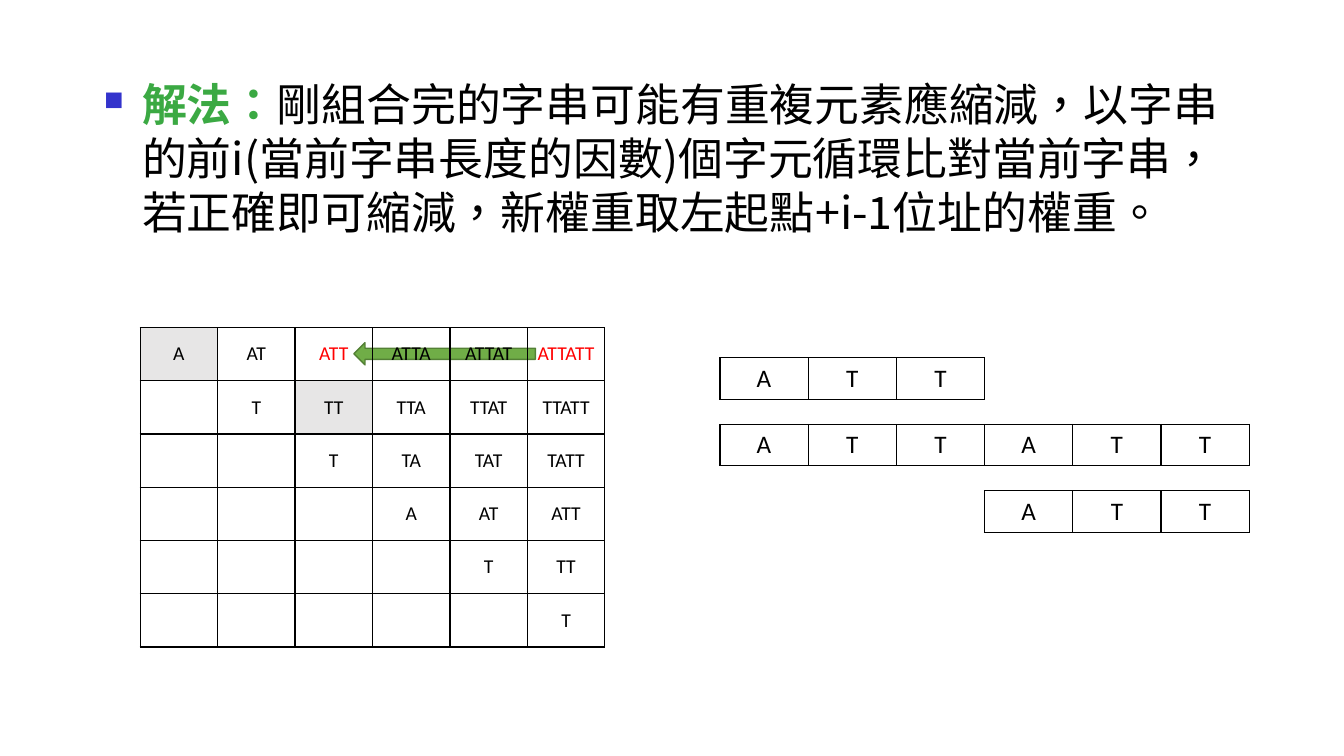
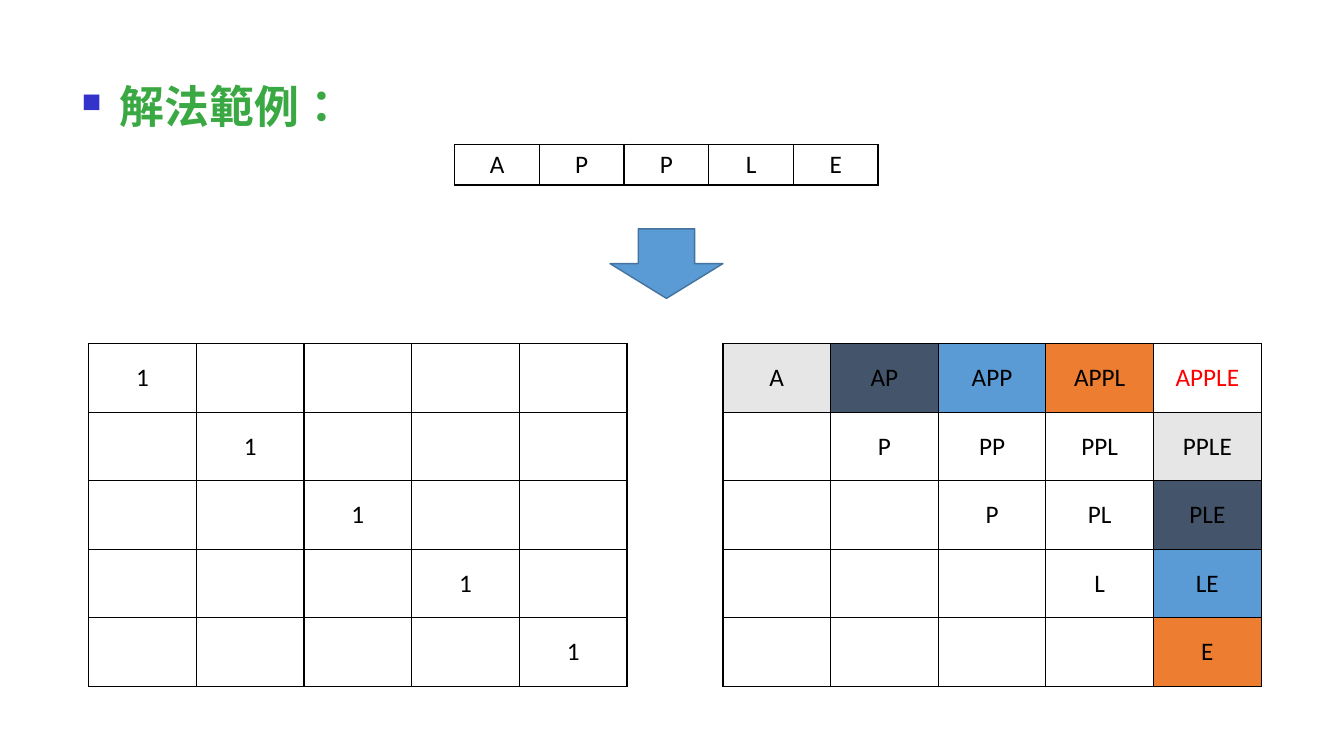
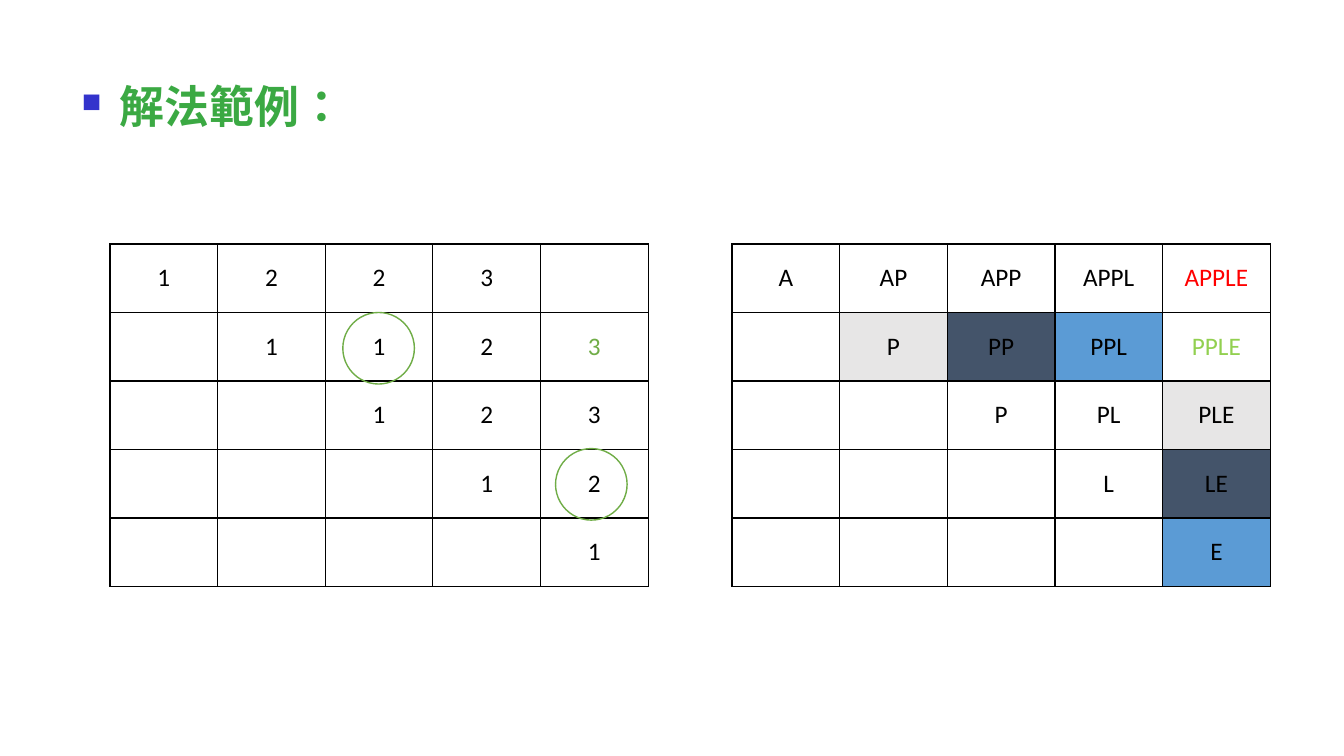
"""Builds three slides on shortening repeated strings with interval tables."""
import pptx
import pptx.dml.color
import pptx.enum.lang
import pptx.enum.shapes
import pptx.enum.text
import pptx.oxml
import pptx.oxml.ns
import pptx.util
from lxml import etree

Inches = pptx.util.Inches
Pt = pptx.util.Pt
SHAPE = pptx.enum.shapes.MSO_SHAPE
ALIGN = pptx.enum.text.PP_ALIGN
ANCHOR = pptx.enum.text.MSO_ANCHOR
qn = pptx.oxml.ns.qn

BLACK, RED, GRAY, NAVY = "000000", "FF0000", "E7E6E6", "44546A"
BLUE, ORANGE, GREEN, LIME = "5B9BD5", "ED7D31", "70AD47", "92D050"
HEADING_GREEN, BULLET_BLUE = "3BA943", "3333CC"
CJK_FONT = "Noto Sans CJK SC"

CHINESE = pptx.enum.lang.MSO_LANGUAGE_ID.TRADITIONAL_CHINESE
KEYWORD_FONT = {"name": "Times New Roman", "size": Pt(32), "bold": True, "language_id": CHINESE}
BODY_FONT = {"name": CJK_FONT, "size": Pt(32), "bold": False, "language_id": CHINESE}
HEADING_FRAME = {
    "word_wrap": True,
    "auto_size": pptx.enum.text.MSO_AUTO_SIZE.NONE,
    "vertical_anchor": ANCHOR.TOP,
    "margin_left": Inches(0.1),
    "margin_right": Inches(0.1),
    "margin_top": Inches(0.08),
    "margin_bottom": Inches(0),
}
HEADING_PARAGRAPH = {"alignment": ALIGN.LEFT, "line_spacing": Pt(38.6), "space_before": Pt(0)}
NARROW_MARGINS = {
    "margin_left": Inches(0.08),
    "margin_right": Inches(0.08),
    "margin_top": Inches(0.04),
    "margin_bottom": Inches(0.04),
}
EXAMPLE_BOX = (0.71, 0.7, 2.85, 0.64)
EXAMPLE_HEADING = "解法範例："


def rgb(color):
    """Return the colour object for a hex string."""
    return pptx.dml.color.RGBColor.from_string(color)


def apply(target, values):
    """Set every attribute in values on target."""
    for attribute, value in values.items():
        setattr(target, attribute, value)


def add_square_bullet(paragraph):
    """Give a paragraph a hanging blue square bullet."""
    properties = paragraph._p.get_or_add_pPr()
    properties.set("marL", str(Inches(0.38)))
    properties.set("indent", str(-Inches(0.38)))
    bullet_color = etree.SubElement(properties, qn("a:buClr"))
    etree.SubElement(bullet_color, qn("a:srgbClr"), val=BULLET_BLUE)
    etree.SubElement(properties, qn("a:buSzPct"), val="60000")
    etree.SubElement(properties, qn("a:buChar"), char="■")


def add_heading_run(paragraph, text, font_values, color):
    """Add Chinese text to a heading paragraph."""
    run = paragraph.add_run()
    run.text = text
    apply(run.font, font_values)
    run.font.color.rgb = rgb(color)
    etree.SubElement(run._r.get_or_add_rPr(), qn("a:ea"), typeface=CJK_FONT)


def add_heading_slide(deck, box, keyword, explanation=""):
    """Add a slide whose bulleted title has a green keyword and an explanation."""
    slide = deck.slides.add_slide(deck.slide_layouts[5])
    heading = slide.shapes.title
    apply(heading, dict(zip(("left", "top", "width", "height"), map(Inches, box))))
    apply(heading.text_frame, HEADING_FRAME)
    paragraph = heading.text_frame.paragraphs[0]
    add_square_bullet(paragraph)
    apply(paragraph, HEADING_PARAGRAPH)
    add_heading_run(paragraph, keyword, KEYWORD_FONT, HEADING_GREEN)
    if explanation:
        add_heading_run(paragraph, explanation, BODY_FONT, BLACK)
    return slide


def add_cell_borders(cell):
    """Draw thin black lines on all four sides of a cell."""
    properties = cell._tc.get_or_add_tcPr()
    for side in ("a:lnL", "a:lnR", "a:lnT", "a:lnB"):
        line = etree.SubElement(properties, qn(side), w=str(Pt(1)))
        line_fill = etree.SubElement(line, qn("a:solidFill"))
        etree.SubElement(line_fill, qn("a:srgbClr"), val=BLACK)


def fill_cell(cell, text, size, ink, fill):
    """Write and format one table cell."""
    add_cell_borders(cell)
    if fill:
        cell.fill.solid()
        cell.fill.fore_color.rgb = rgb(fill)
    else:
        cell.fill.background()
    cell.vertical_anchor = ANCHOR.MIDDLE
    paragraph = cell.text_frame.paragraphs[0]
    paragraph.alignment = ALIGN.CENTER
    paragraph.text = text
    apply(paragraph.font, {"name": "Calibri", "size": Pt(size)})
    for run in paragraph.runs:
        apply(run.font, {"name": "Calibri", "size": Pt(size), "bold": False})
        run.font.color.rgb = rgb(ink)


def add_grid(slide, box, rows, size=18, inks={}, fills={}, margins={}):
    """Add a table of equal cells, with inks and fills keyed by row and column."""
    left, top, width, height = map(Inches, box)
    table = slide.shapes.add_table(len(rows), len(rows[0]), left, top, width, height).table
    apply(table, {"first_row": False, "horz_banding": False})
    for r, texts in enumerate(rows):
        for c, text in enumerate(texts):
            cell = table.cell(r, c)
            apply(cell, margins)
            fill_cell(cell, text, size, inks.get((r, c), BLACK), fills.get((r, c)))


def substrings(word):
    """Return the triangle of substrings by first and last letter."""
    return [[word[first:last + 1] for last in range(len(word))] for first in range(len(word))]


def add_outline_shape(slide, kind, box, line, fill=None, rotation=0):
    """Add a preset shape with a thin line and an optional fill."""
    shape = slide.shapes.add_shape(kind, *map(Inches, box))
    shape.shadow.inherit = False
    shape.rotation = rotation
    shape.line.color.rgb = rgb(line)
    shape.line.width = Pt(1)
    if fill:
        shape.fill.solid()
        shape.fill.fore_color.rgb = rgb(fill)
    else:
        shape.fill.background()


def build_method(deck):
    """Explain how a repeated string is shortened."""
    slide = add_heading_slide(
        deck, (0.93, 0.68, 11.62, 1.72), "解法：",
        "剛組合完的字串可能有重複元素應縮減，以字串的前i(當前字串長度的因數)個字元循環比對當前字串，"
        "若正確即可縮減，新權重取左起點+i-1位址的權重。")
    add_outline_shape(slide, SHAPE.RIGHT_ARROW, (3.51, 3.4, 1.8, 0.22), "538035", GREEN, 180)
    add_grid(slide, (1.39, 3.25, 4.61, 3.17), substrings("ATTATT"), size=14,
             inks={(0, 2): RED, (0, 5): RED}, fills={(0, 0): GRAY, (1, 2): GRAY},
             margins=NARROW_MARGINS)
    letter_width = 0.875
    for word, offset, top in (("ATT", 0, 3.55), ("ATTATT", 0, 4.21), ("ATT", 3, 4.87)):
        box = (7.14 + offset * letter_width, top, len(word) * letter_width, 0.41)
        add_grid(slide, box, [word])


def build_start(deck):
    """Show the word and both tables before any combination."""
    slide = add_heading_slide(deck, EXAMPLE_BOX, EXAMPLE_HEADING)
    add_grid(slide, (4.51, 1.43, 4.2, 0.4), ["APPLE"])
    add_outline_shape(slide, SHAPE.DOWN_ARROW, (6.05, 2.27, 1.12, 0.69), "43739E", BLUE)
    weights = [["1" if r == c else "" for c in range(5)] for r in range(5)]
    add_grid(slide, (0.88, 3.41, 5.34, 3.4), weights)
    fills = {}
    for step, color in enumerate((GRAY, NAVY, BLUE, ORANGE)):
        fills[0, step] = fills[step + 1, 4] = color
    add_grid(slide, (7.17, 3.41, 5.34, 3.4), substrings("APPLE"),
             inks={(0, 4): RED}, fills=fills)


def build_weights(deck):
    """Show the weights found for the suffix of four letters."""
    slide = add_heading_slide(deck, EXAMPLE_BOX, EXAMPLE_HEADING)
    weights = [
        ["1", "2", "2", "3", ""],
        ["", "1", "1", "2", "3"],
        ["", "", "1", "2", "3"],
        ["", "", "", "1", "2"],
        ["", "", "", "", "1"],
    ]
    add_grid(slide, (1.09, 2.42, 5.34, 3.4), weights, inks={(1, 4): GREEN})
    fills = {}
    for step, color in enumerate((GRAY, NAVY, BLUE)):
        fills[1, step + 1] = fills[step + 2, 4] = color
    add_grid(slide, (7.26, 2.42, 5.34, 3.4), substrings("APPLE"),
             inks={(0, 4): RED, (1, 4): LIME}, fills=fills)
    for left, top in ((3.4, 3.1), (5.51, 4.45)):
        add_outline_shape(slide, SHAPE.OVAL, (left, top, 0.71, 0.71), GREEN)


def main():
    """Build and save the presentation."""
    deck = pptx.Presentation()
    apply(deck, {"slide_width": Inches(13.33), "slide_height": Inches(7.5)})
    build_method(deck)
    build_start(deck)
    build_weights(deck)
    deck.save("out.pptx")


if __name__ == "__main__":
    main()
